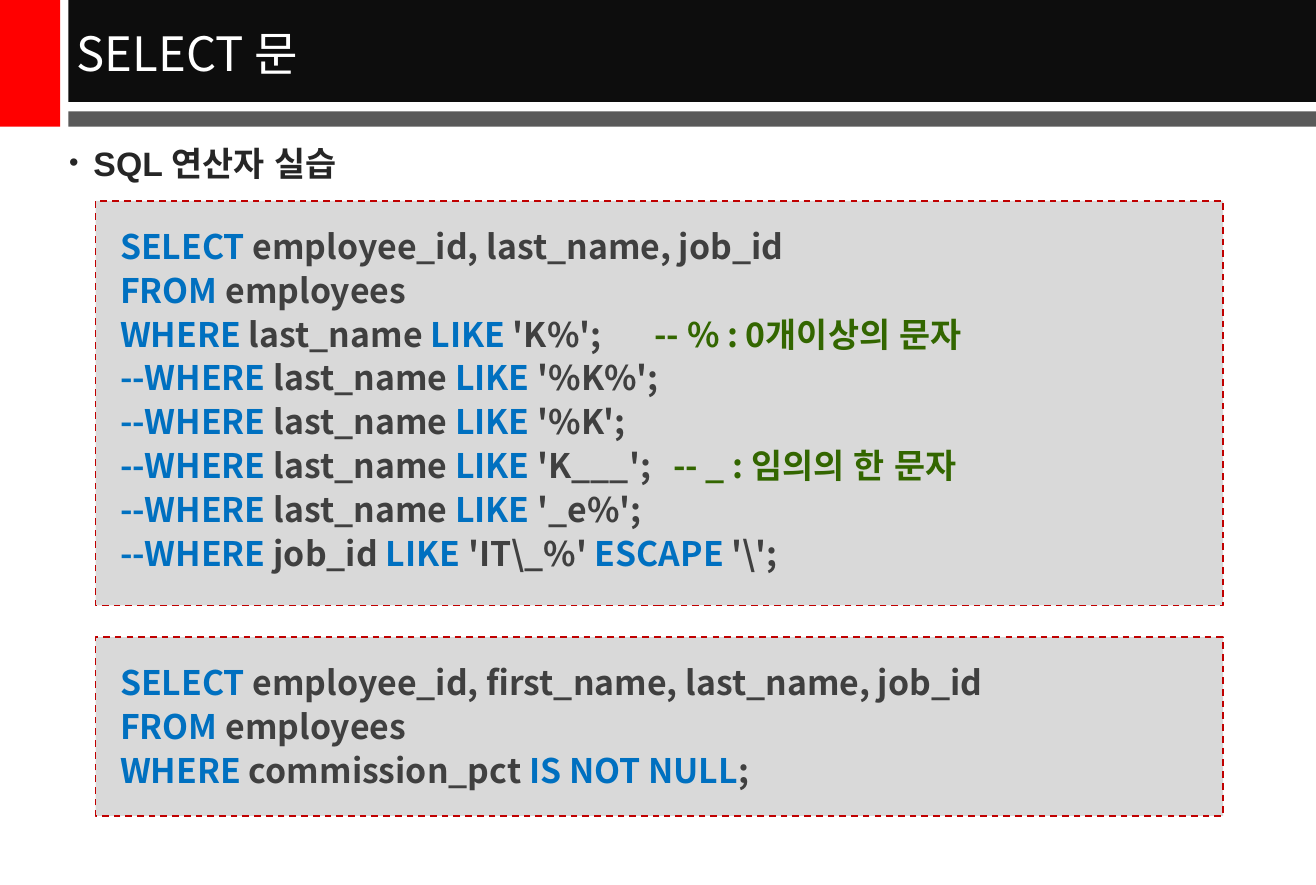
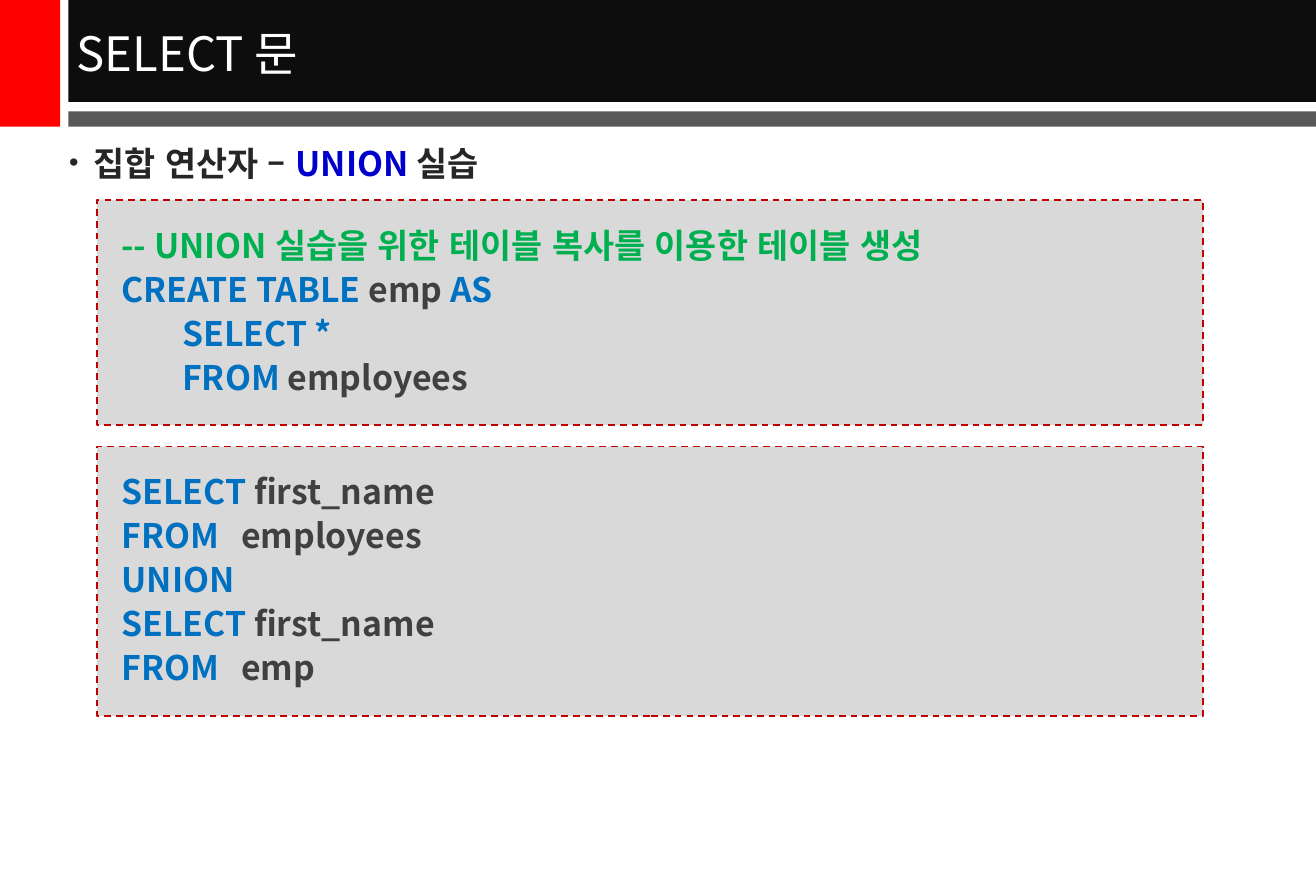
"""Build two slides of SQL SELECT exercises."""
from dataclasses import dataclass

from lxml.etree import SubElement
from pptx import Presentation
from pptx.dml.color import RGBColor
from pptx.enum.dml import MSO_LINE
from pptx.enum.lang import MSO_LANGUAGE_ID
from pptx.enum.shapes import MSO_SHAPE
from pptx.enum.text import MSO_ANCHOR, MSO_AUTO_SIZE, PP_ALIGN
from pptx.oxml.ns import qn
from pptx.util import Cm, Pt


@dataclass(frozen=True)
class Theme:
    font: str = "Noto Sans CJK KR"
    latin: str = "Arial"
    title_size: int = 28
    text_size: int = 20
    gap: int = 2
    accent: str = "FF0000"
    band: str = "0D0D0D"
    rule: str = "595959"
    title: str = "FFFFFF"
    body: str = "262626"
    strong: str = "0000CC"
    key: str = "0070C0"
    code: str = "404040"
    note: str = "336600"
    remark: str = "00B050"
    box: str = "D9D9D9"
    border: str = "C00000"


@dataclass(frozen=True)
class Line:
    runs: tuple
    tab: float = 0
    level: int = 0


THEME = Theme()
WIDTH, HEIGHT = 27.51, 18.49
BAND_LEFT = 1.43
BANDS = [
    (0, 0, 1.26, 2.65, THEME.accent),
    (BAND_LEFT, 0, WIDTH - BAND_LEFT, 2.13, THEME.band),
    (BAND_LEFT, 2.33, WIDTH - BAND_LEFT, 0.32, THEME.rule),
]
TITLE_AREA = (1.35, 0.05, 26.16, 2.08)
BODY_AREA = (1.19, 2.85, 25.17, 14.68)


def sql(*parts, tab=0, level=0):
    styles = (THEME.key, THEME.code)
    return Line(tuple((t, styles[i % 2]) for i, t in enumerate(parts)), tab, level)


def noted(line, note, tab):
    return Line(line.runs + (("\t" + note, THEME.note),), tab)


def like(column, pattern, start="--WHERE "):
    return sql(start, column + " ", "LIKE ", pattern)


SLIDES = [
    {
        "title": "SELECT 문",
        "heading": [("SQL 연산자 실습", THEME.body)],
        "latin": THEME.latin,
        "left": 2.0,
        "width": 23.57,
        "boxes": [
            (4.2, 8.45, [
                sql("SELECT ", "employee_id, last_name, job_id"),
                sql("FROM ", "employees"),
                noted(like("last_name", "'K%';", "WHERE "), "-- % : 0개이상의 문자", 11.17),
                like("last_name", "'%K%';"),
                like("last_name", "'%K';"),
                noted(like("last_name", "'K___';"), "-- _ : 임의의 한 문자", 11.56),
                like("last_name", "'_e%';"),
                sql("--WHERE ", "job_id ", "LIKE ", "'IT\\_%' ", "ESCAPE ", "'\\';"),
            ]),
            (13.31, 3.74, [
                sql("SELECT ", "employee_id, first_name, last_name, job_id"),
                sql("FROM ", "employees"),
                sql("WHERE ", "commission_pct ", "IS NOT NULL", ";"),
            ]),
        ],
    },
    {
        "title": "SELECT 문",
        "heading": [("집합 연산자 – ", THEME.body), ("UNION", THEME.strong),
                    (" 실습", THEME.body)],
        "latin": THEME.font,
        "left": 2.03,
        "width": 23.12,
        "boxes": [
            (4.18, 4.7, [
                Line((("-- UNION 실습을 위한 테이블 복사를 이용한 테이블 생성", THEME.remark),)),
                sql("CREATE TABLE ", "emp ", "AS"),
                sql("SELECT *", level=1),
                sql("FROM ", "employees", level=1),
            ]),
            (9.33, 5.63, [
                sql("SELECT ", "first_name"),
                sql("FROM", "\temployees", tab=2.5),
                sql("UNION"),
                sql("SELECT ", "first_name"),
                sql("FROM", "\temp", tab=2.5),
            ]),
        ],
    },
]


def add_runs(p, runs, size=THEME.text_size, bold=True, latin=THEME.font):
    for text, color in runs:
        r = p.add_run()
        r.text = text
        r.font.size = Pt(size)
        r.font.bold = bold
        r.font.name = latin
        r.font.language_id = MSO_LANGUAGE_ID.KOREAN
        r.font.color.rgb = RGBColor.from_string(color)
        SubElement(r.font._element, qn("a:ea"), typeface=THEME.font)


def add_rect(slide, left, top, width, height, color):
    sp = slide.shapes.add_shape(
        MSO_SHAPE.RECTANGLE, Cm(left), Cm(top), Cm(width), Cm(height))
    sp.shadow.inherit = False
    sp.fill.solid()
    sp.fill.fore_color.rgb = RGBColor.from_string(color)
    sp.line.fill.background()
    return sp


def place(sp, area):
    sp.left, sp.top, sp.width, sp.height = (Cm(v) for v in area)


def set_up_layout(layout, slide):
    place(layout.placeholders[0], TITLE_AREA)
    place(layout.placeholders[1], BODY_AREA)
    for i, band in enumerate(BANDS):
        sp = add_rect(slide, *band)
        sp.element.nvSpPr.cNvPr.set("id", str(101 + i))
        layout.element.cSld.spTree.insert(2 + i, sp.element)


def fill_title(sp, text):
    tf = sp.text_frame
    tf.auto_size = MSO_AUTO_SIZE.NONE
    tf.vertical_anchor = MSO_ANCHOR.MIDDLE
    p = tf.paragraphs[0]
    p.alignment = PP_ALIGN.LEFT
    add_runs(p, [(text, THEME.title)], THEME.title_size, False)


def fill_heading(sp, runs, latin):
    tf = sp.text_frame
    tf.auto_size = MSO_AUTO_SIZE.NONE
    p = tf.paragraphs[0]
    p.space_before = Pt(2 * THEME.gap)
    pPr = p._p.get_or_add_pPr()
    pPr.set("marL", str(Cm(0.51)))
    pPr.set("indent", str(Cm(-0.51)))
    SubElement(pPr, qn("a:buSzPct"), val="80000")
    SubElement(pPr, qn("a:buFont"), typeface=THEME.latin)
    SubElement(pPr, qn("a:buChar"), char="•")
    add_runs(p, runs, latin=latin)


def add_code_box(slide, left, top, width, height, lines):
    sp = add_rect(slide, left, top, width, height, THEME.box)
    sp.line.color.rgb = RGBColor.from_string(THEME.border)
    sp.line.width = Pt(1)
    sp.line.dash_style = MSO_LINE.DASH
    tf = sp.text_frame
    tf.word_wrap = True
    tf.vertical_anchor = MSO_ANCHOR.TOP
    tf.margin_left = tf.margin_top = tf.margin_bottom = Cm(0.51)
    tf.margin_right = Cm(0.71)
    for i, line in enumerate(lines):
        p = tf.add_paragraph() if i else tf.paragraphs[0]
        p.alignment = PP_ALIGN.JUSTIFY
        p.space_before = Pt(THEME.gap)
        p.level = line.level
        pPr = p._p.get_or_add_pPr()
        pPr.set("marL", str(Cm(1.27 * line.level)))
        if line.tab:
            tabs = SubElement(pPr, qn("a:tabLst"))
            SubElement(tabs, qn("a:tab"), pos=str(Cm(line.tab)), algn="l")
        add_runs(p, line.runs)


def main():
    prs = Presentation()
    prs.slide_width, prs.slide_height = Cm(WIDTH), Cm(HEIGHT)
    layout = prs.slide_layouts[1]
    for i, content in enumerate(SLIDES):
        slide = prs.slides.add_slide(layout)
        if i == 0:
            set_up_layout(layout, slide)
        fill_title(slide.shapes.title, content["title"])
        fill_heading(slide.placeholders[1], content["heading"], content["latin"])
        for top, height, lines in content["boxes"]:
            add_code_box(slide, content["left"], top, content["width"], height, lines)
    prs.save("out.pptx")


if __name__ == "__main__":
    main()
